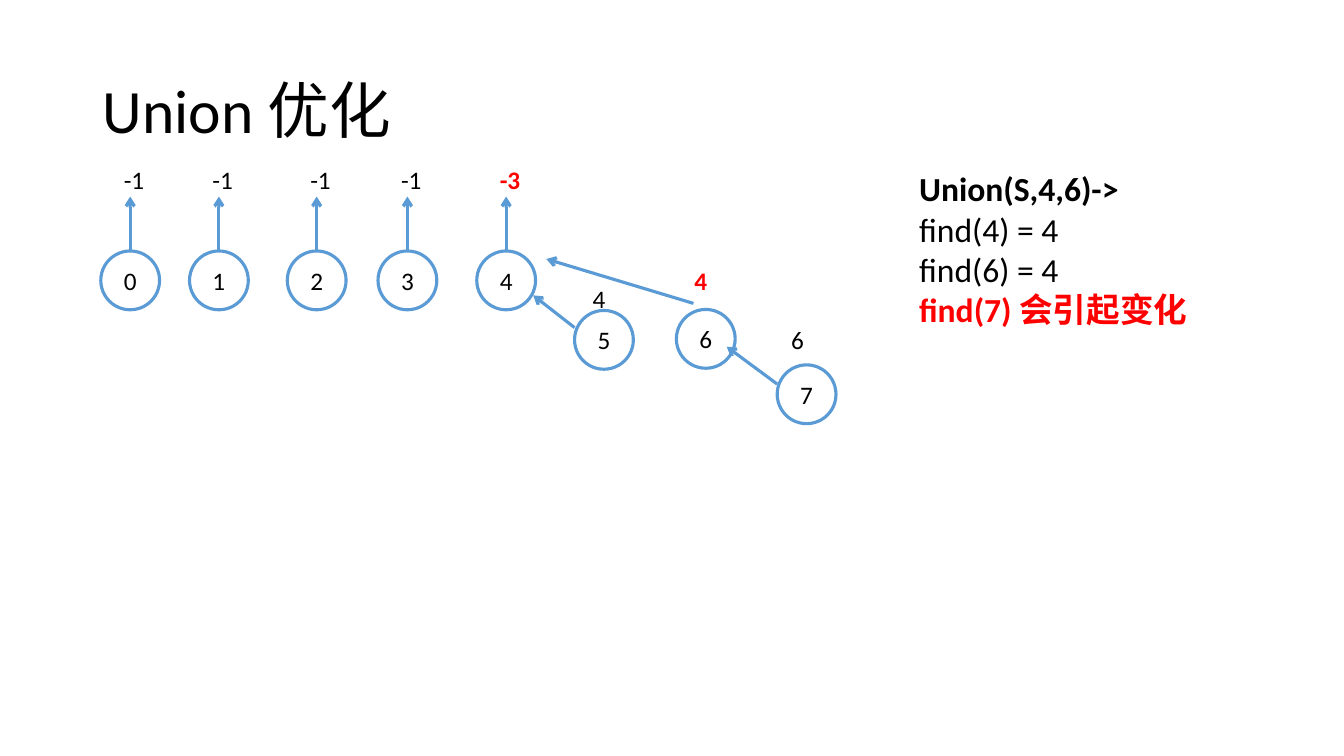
from dataclasses import dataclass

from lxml import etree
from pptx import Presentation
from pptx import util as u
from pptx.dml.color import RGBColor
from pptx.enum import shapes, text
from pptx.oxml.ns import qn


@dataclass(frozen=True)
class Theme:
    """Colours, type sizes and line width."""
    ink: RGBColor = RGBColor(0, 0, 0)
    hot: RGBColor = RGBColor(255, 0, 0)
    edge: RGBColor = RGBColor(0x5B, 0x9B, 0xD5)
    paper: RGBColor = RGBColor(255, 255, 255)
    face: str = "Calibri"
    head: int = 44
    note: int = 24
    node: int = 18
    line: float = 2.25


T = Theme()
WIDE, HIGH = u.Inches(13.33), u.Inches(7.5)
COLS, ROWS = 40, 22.5
DISC = 1.75
TAG = (1.5, 1.2)
ROOT_Y, TIP_Y, TAG_X = 2.73, 1.11, 0.39

ROOTS = [
    ("0", 0, "-1", False),
    ("1", 2.64, "-1", False),
    ("2", 5.55, "-1", False),
    ("3", 8.25, "-1", False),
    ("4", 11.19, "-3", True),
]
KIDS = [
    ("5", (14.1, 4.5), "4", (14.34, 3.54), (14.1, 5.01), (12.87, 4.05), False),
    ("6", (17.13, 4.47), "4", (17.37, 3), (17.64, 4.29), (13.26, 2.97), True),
    ("7", (20.13, 6.12), "6", (20.25, 4.77), (20.13, 6.69), (18.63, 5.58), False),
]
NOTES = [
    ("Union(S,4,6)->", True, False),
    ("find(4) = 4", False, False),
    ("find(6) = 4", False, False),
    ("find(7) 会引起变化", True, True),
]


def spot(x, y):
    """Turn columns and rows into slide lengths."""
    return round(x * WIDE / COLS), round(y * HIGH / ROWS)


def shift(box, pos):
    """Place a position inside a box."""
    return box[0] + pos[0], box[1] + pos[1]


def style(par, size, bold=False, hot=False):
    """Set the font of a paragraph."""
    font = par.font
    font.name, font.size, font.bold = T.face, u.Pt(size), bold
    font.color.rgb = T.hot if hot else T.ink


def write(slide, box, lines, size):
    """Add a text box with one paragraph per line."""
    frame = slide.shapes.add_textbox(*spot(*box[:2]), *spot(*box[2:])).text_frame
    frame.word_wrap = True
    frame.text = "\n".join(line[0] for line in lines)
    for par, (_, bold, hot) in zip(frame.paragraphs, lines):
        style(par, size, bold, hot)


def disc(slide, pos, name):
    """Add a numbered node."""
    oval = slide.shapes.add_shape(
        shapes.MSO_SHAPE.OVAL, *spot(*pos), *spot(DISC, DISC))
    oval.shadow.inherit = False
    oval.fill.solid()
    oval.fill.fore_color.rgb = T.paper
    oval.line.color.rgb = T.edge
    oval.line.width = u.Pt(T.line)
    frame = oval.text_frame
    frame.text = name
    frame.vertical_anchor = text.MSO_ANCHOR.MIDDLE
    par = frame.paragraphs[0]
    par.alignment = text.PP_ALIGN.CENTER
    style(par, T.node)
    return oval


def arrow(slide, start, end):
    """Add an arrow that points at its end."""
    link = slide.shapes.add_connector(
        shapes.MSO_CONNECTOR.STRAIGHT, *spot(*start), *spot(*end))
    link.line.color.rgb = T.edge
    link.line.width = u.Pt(T.line)
    tip = etree.SubElement(link.line._get_or_add_ln(), qn("a:tailEnd"))
    tip.set("type", "arrow")
    etree.SubElement(link._element.spPr, qn("a:effectLst"))
    return link


def tag(slide, pos, name, hot):
    """Add the parent value of a node."""
    write(slide, (*pos, *TAG), [(name, hot, hot)], T.node)


def title(slide, box, words):
    """Fill and place the title."""
    head = slide.shapes.title
    head.left, head.top = spot(*box[:2])
    head.width, head.height = spot(*box[2:])
    frame = head.text_frame
    frame.text = words
    frame.vertical_anchor = text.MSO_ANCHOR.MIDDLE
    par = frame.paragraphs[0]
    par.alignment = text.PP_ALIGN.LEFT
    par.line_spacing = 0.9
    style(par, T.head)


def roots(slide, box):
    """Draw the row of roots with upward arrows."""
    for name, x, value, hot in ROOTS:
        oval = disc(slide, shift(box, (x, ROOT_Y)), name)
        mid = x + DISC / 2
        link = arrow(slide, shift(box, (mid, ROOT_Y)), shift(box, (mid, TIP_Y)))
        link.begin_connect(oval, 0)
        tag(slide, shift(box, (x + TAG_X, 0)), value, hot)


def kids(slide, box):
    """Draw the nodes that point at a parent."""
    for name, pos, value, place, start, end, hot in KIDS:
        disc(slide, shift(box, pos), name)
        arrow(slide, shift(box, start), shift(box, end))
        tag(slide, shift(box, place), value, hot)


def main():
    """Build and save the slide."""
    deck = Presentation()
    deck.slide_width, deck.slide_height = WIDE, HIGH
    slide = deck.slides.add_slide(deck.slide_layouts[5])
    title(slide, (2.76, 1.2, 34.5, 4.35), "Union 优化")
    write(slide, (27.06, 4.86, 11.07, 5.16), NOTES, T.note)
    wood = (3, 4.74)
    roots(slide, wood)
    kids(slide, wood)
    deck.save("out.pptx")


if __name__ == "__main__":
    main()
